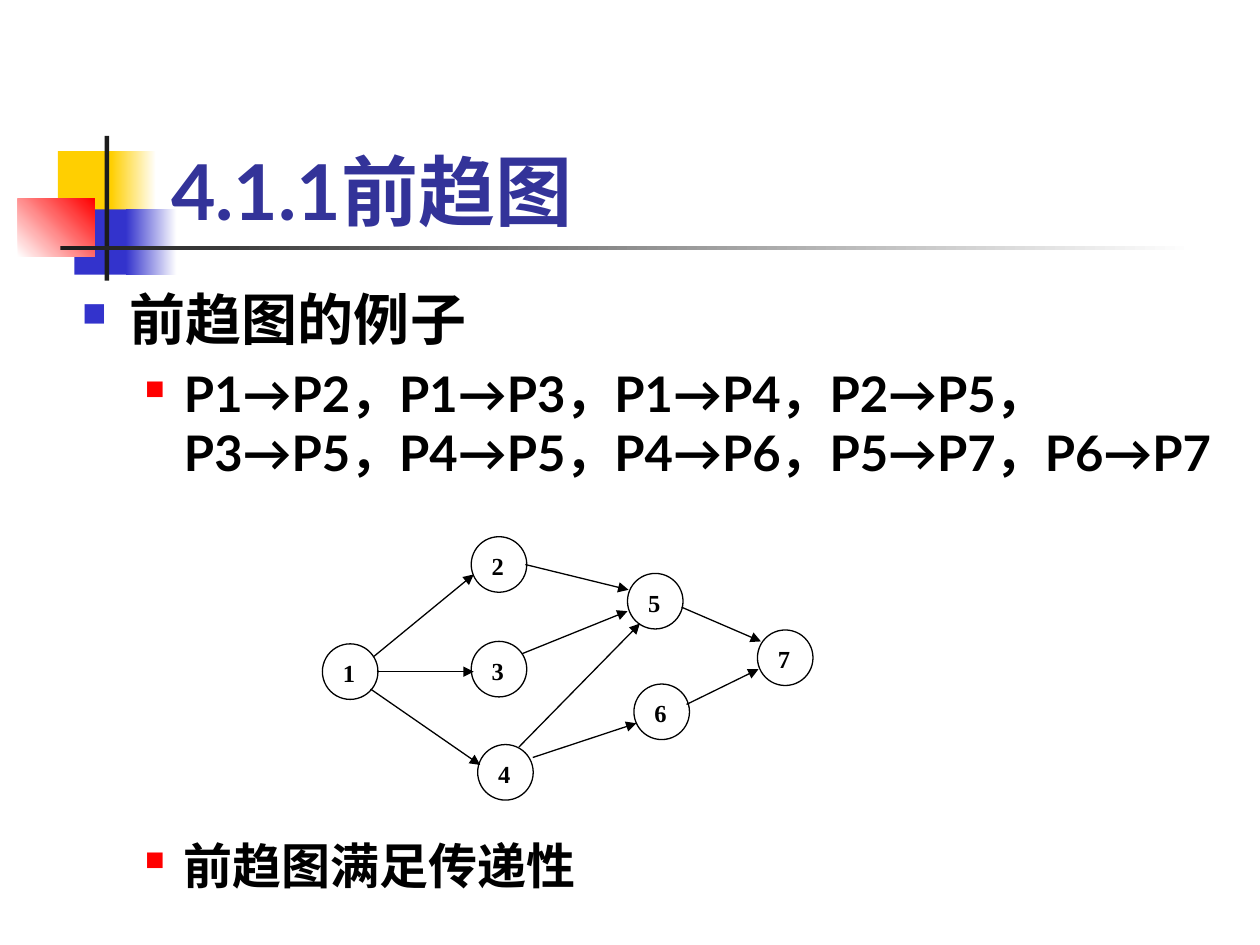
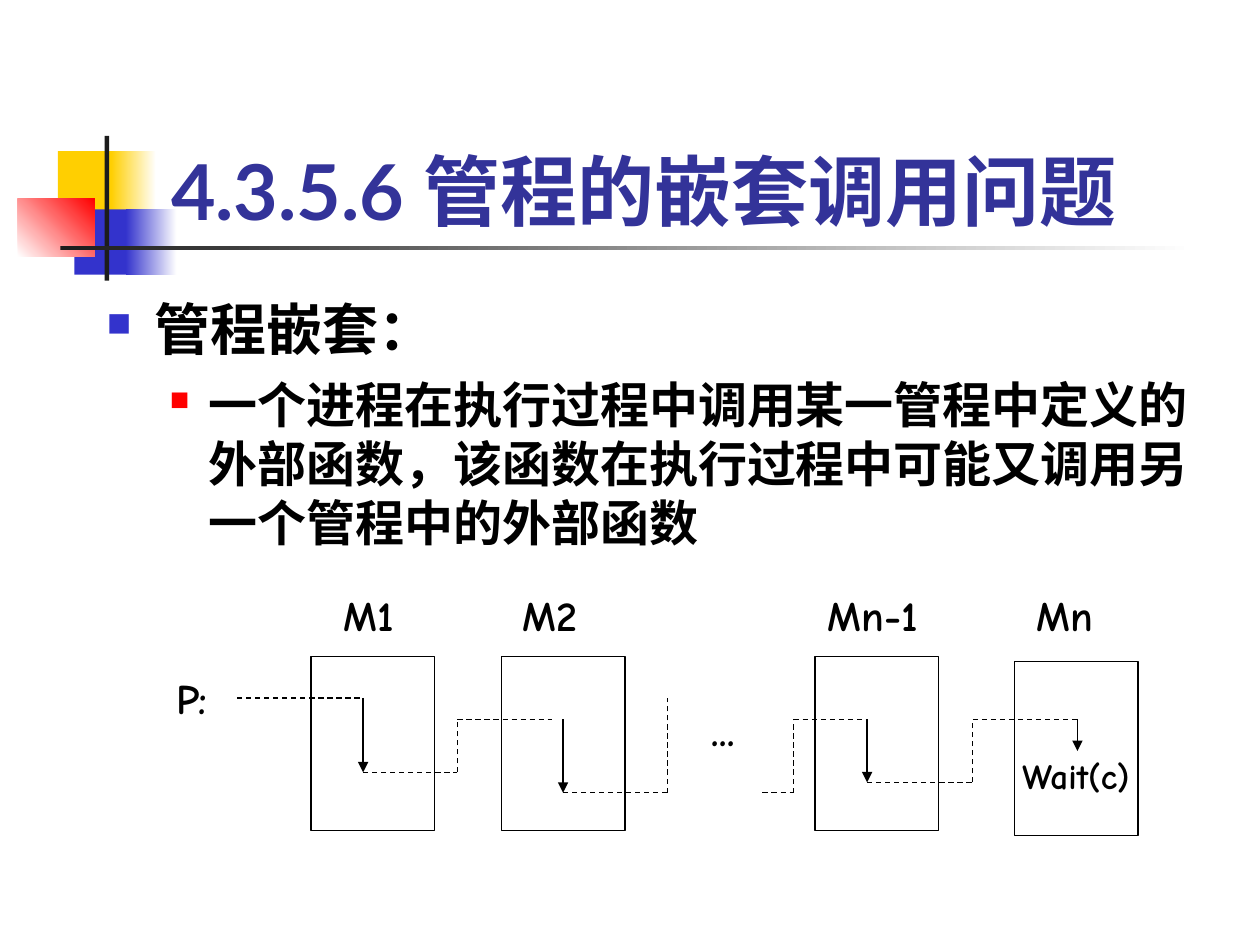
from itertools import pairwise

from lxml import etree
from pptx import Presentation
from pptx.dml.color import RGBColor
from pptx.enum.dml import MSO_LINE
from pptx.enum.shapes import MSO_CONNECTOR, MSO_SHAPE
from pptx.enum.text import MSO_ANCHOR, PP_ALIGN
from pptx.oxml.ns import qn
from pptx.util import Cm, Pt

BLACK, WHITE, DARK = "000000", "FFFFFF", "1C1C1C"
YELLOW, BLUE, RED, TITLE_BLUE = "FFCF01", "3333CC", "FF0000", "333399"
BODY_FONT, NODE_FONT, LABEL_FONT = "Lato", "Times New Roman", "Comic Neue"

# left, top, width, height, colours (two make a gradient), angle
ORNAMENT = [
    (1.17, 3.05, 1.22, 1.32, [YELLOW], 0),
    (2.24, 3.05, 0.91, 1.32, [YELLOW, WHITE], 0),
    (1.5, 4.22, 1.17, 1.32, [BLUE], 0),
    (2.54, 4.22, 1.02, 1.32, [BLUE, WHITE], 0),
    (0.36, 4.01, 1.55, 1.17, [WHITE, RED], 45),
    (2.11, 2.74, 0.09, 2.92, [DARK], 0),
    (1.22, 4.95, 22.86, 0.09, [DARK, WHITE], 0),
]

# Per outline level: size, left margin, hanging indent, bullet colour,
# bullet percentage, space before
LEVELS = [
    (32, 0.97, 0.97, BLUE, 60, 8),
    (28, 2.06, 0.79, RED, 55, 7),
]

NODE_SIZE = 1.12
NODES = {
    "1": (6.5, 12.98), "2": (9.5, 10.82), "3": (9.5, 12.93),
    "4": (9.63, 15.01), "5": (12.65, 11.56), "6": (12.78, 13.79),
    "7": (15.27, 12.7),
}
EDGES = [
    ((7.54, 13.23), (9.55, 11.58)),
    ((7.59, 13.54), (9.55, 13.54)),
    ((7.47, 13.89), (9.68, 15.42)),
    ((10.74, 15.27), (12.83, 14.58)),
    ((10.52, 13.18), (12.65, 12.32)),
    ((10.59, 11.38), (12.67, 11.89)),
    ((13.74, 12.24), (15.34, 12.93)),
    ((13.84, 14.2), (15.29, 13.49)),
    ((10.46, 15.06), (12.9, 12.57)),
]

MONITOR_WIDTH, MONITOR_HEIGHT = 2.49, 3.51
MONITORS = [(6.27, 13.23), (10.11, 13.23), (16.43, 13.23)]
WAITING_MONITOR = (20.45, 13.34)
CALL_PATHS = [
    [(4.78, 14.07), (7.32, 14.07)],
    [(7.32, 15.57), (9.22, 15.57), (9.22, 14.5), (11.13, 14.5)],
    [(11.35, 15.98), (13.46, 15.98), (13.46, 14.07)],
    [(15.37, 15.98), (16, 15.98), (16, 14.5), (17.48, 14.5)],
    [(17.48, 15.77), (19.61, 15.77), (19.61, 14.5), (21.72, 14.5)],
]
# x, start y, end y of execution inside each monitor
EXECUTIONS = [(7.32, 14.07, 15.57), (11.35, 14.5, 15.98),
              (17.48, 14.5, 15.77), (21.72, 14.5, 15.14)]
LABEL_HEIGHT = 1.27
LABELS = [
    ("P:", 3.3, 13.44, 1.27), ("M1", 6.68, 11.76, 1.8),
    ("M2", 10.29, 11.76, 1.9), ("Mn-1", 16.43, 11.76, 2.74),
    ("Mn", 20.65, 11.76, 2.11), ("...", 14.1, 14.07, 1.47),
]


def rgb(value):
    return RGBColor.from_string(value)


def add_text(paragraph, text, *, size, font, color=BLACK, bold=True, align=None):
    paragraph.alignment = align
    run = paragraph.add_run()
    run.text = text
    run.font.size = Pt(size)
    run.font.bold = bold
    run.font.name = font
    run.font.color.rgb = rgb(color)
    # Chinese text takes its line height from the same typeface
    etree.SubElement(run.font._element, qn("a:ea"), typeface=font)


def add_box(slide, left, top, width, height, anchor=MSO_ANCHOR.TOP):
    box = slide.shapes.add_textbox(Cm(left), Cm(top), Cm(width), Cm(height))
    box.text_frame.word_wrap = True
    box.text_frame.vertical_anchor = anchor
    return box.text_frame


def add_filled(slide, kind, left, top, width, height, colors, angle=0, outline=None):
    """Add a preset shape with a solid fill or a two-colour gradient."""
    shape = slide.shapes.add_shape(kind, Cm(left), Cm(top), Cm(width), Cm(height))
    shape.shadow.inherit = False
    if len(colors) == 1:
        shape.fill.solid()
        shape.fill.fore_color.rgb = rgb(colors[0])
    else:
        shape.fill.gradient()
        shape.fill.gradient_angle = angle
        for stop, color in zip(shape.fill.gradient_stops, colors):
            stop.color.rgb = rgb(color)
    if outline:
        shape.line.color.rgb = rgb(outline)
        shape.line.width = Pt(0.75)
    else:
        shape.line.fill.background()
    return shape


def add_line(slide, start, end, dashed=False, arrow=False):
    line = slide.shapes.add_connector(
        MSO_CONNECTOR.STRAIGHT, *(Cm(value) for value in (*start, *end)))
    line.line.color.rgb = rgb(BLACK)
    line.line.width = Pt(0.75)
    if dashed:
        line.line.dash_style = MSO_LINE.DASH
    properties = line._element.spPr
    if arrow:
        etree.SubElement(properties.find(qn("a:ln")), qn("a:tailEnd"), type="triangle")
    etree.SubElement(properties, qn("a:effectLst"))


def add_bullet(paragraph, level):
    _, margin, hanging, color, percent, _ = LEVELS[level]
    properties = paragraph._p.get_or_add_pPr()
    properties.set("marL", str(Cm(margin)))
    properties.set("indent", str(-Cm(hanging)))
    bullet_color = etree.SubElement(properties, qn("a:buClr"))
    etree.SubElement(bullet_color, qn("a:srgbClr"), val=color)
    etree.SubElement(properties, qn("a:buSzPct"), val=str(percent * 1000))
    etree.SubElement(properties, qn("a:buChar"), char="■")


def add_outline(slide, left, top, width, height, items):
    """Add a bulleted box from (level, text) pairs."""
    frame = add_box(slide, left, top, width, height)
    for index, (level, text) in enumerate(items):
        paragraph = frame.add_paragraph() if index else frame.paragraphs[0]
        paragraph.level = level
        add_bullet(paragraph, level)
        if index:
            paragraph.space_before = Pt(LEVELS[level][5])
        add_text(paragraph, text, size=LEVELS[level][0], font=BODY_FONT)


def add_titled_slide(presentation, title):
    slide = presentation.slides.add_slide(presentation.slide_layouts[6])
    for *place, colors, angle in ORNAMENT:
        add_filled(slide, MSO_SHAPE.RECTANGLE, *place, colors, angle)
    frame = add_box(slide, 3.2, 1.7, 21.64, 3.18, MSO_ANCHOR.BOTTOM)
    add_text(frame.paragraphs[0], title, size=44, font=BODY_FONT, color=TITLE_BLUE)
    return slide


def add_node(slide, name, left, top):
    node = add_filled(slide, MSO_SHAPE.OVAL, left, top, NODE_SIZE, NODE_SIZE,
                      [WHITE], outline=BLACK)
    node.text_frame.vertical_anchor = MSO_ANCHOR.TOP
    add_text(node.text_frame.paragraphs[0], name, size=14, font=NODE_FONT,
             align=PP_ALIGN.JUSTIFY)


def add_monitor(slide, left, top):
    return add_filled(slide, MSO_SHAPE.RECTANGLE, left, top, MONITOR_WIDTH,
                      MONITOR_HEIGHT, [WHITE], outline=BLACK)


def add_precedence_slide(presentation):
    slide = add_titled_slide(presentation, "4.1.1前趋图")
    add_outline(slide, 1.4, 5.61, 23.47, 5.2, [
        (0, "前趋图的例子"),
        (1, "P1→P2，P1→P3，P1→P4，P2→P5，P3→P5，P4→P5，P4→P6，P5→P7，P6→P7"),
    ])
    add_outline(slide, 1.4, 16.71, 23.47, 1.5, [(1, "前趋图满足传递性")])
    for name, place in NODES.items():
        add_node(slide, name, *place)
    for start, end in EDGES:
        add_line(slide, start, end, arrow=True)


def add_nesting_slide(presentation):
    slide = add_titled_slide(presentation, "4.3.5.6 管程的嵌套调用问题")
    for place in MONITORS:
        add_monitor(slide, *place)
    waiting = add_monitor(slide, *WAITING_MONITOR).text_frame
    waiting.word_wrap = False
    waiting.vertical_anchor = MSO_ANCHOR.MIDDLE
    waiting.margin_top = Cm(1.2)
    add_text(waiting.paragraphs[0], "Wait(c)", size=20, font=LABEL_FONT,
             align=PP_ALIGN.CENTER)
    for points in CALL_PATHS:
        for start, end in pairwise(points):
            add_line(slide, start, end, dashed=True)
    for x, start_y, end_y in EXECUTIONS:
        add_line(slide, (x, start_y), (x, end_y), arrow=True)
    for text, left, top, width in LABELS:
        frame = add_box(slide, left, top, width, LABEL_HEIGHT)
        add_text(frame.paragraphs[0], text, size=24, font=LABEL_FONT)
    add_outline(slide, 1.9, 5.82, 22.91, 5.6, [
        (0, "管程嵌套："),
        (1, "一个进程在执行过程中调用某一管程中定义的外部函数，"
            "该函数在执行过程中可能又调用另一个管程中的外部函数"),
    ])


def main():
    presentation = Presentation()
    presentation.slide_width, presentation.slide_height = Cm(25.4), Cm(19.05)
    add_precedence_slide(presentation)
    add_nesting_slide(presentation)
    presentation.save("out.pptx")


if __name__ == "__main__":
    main()
